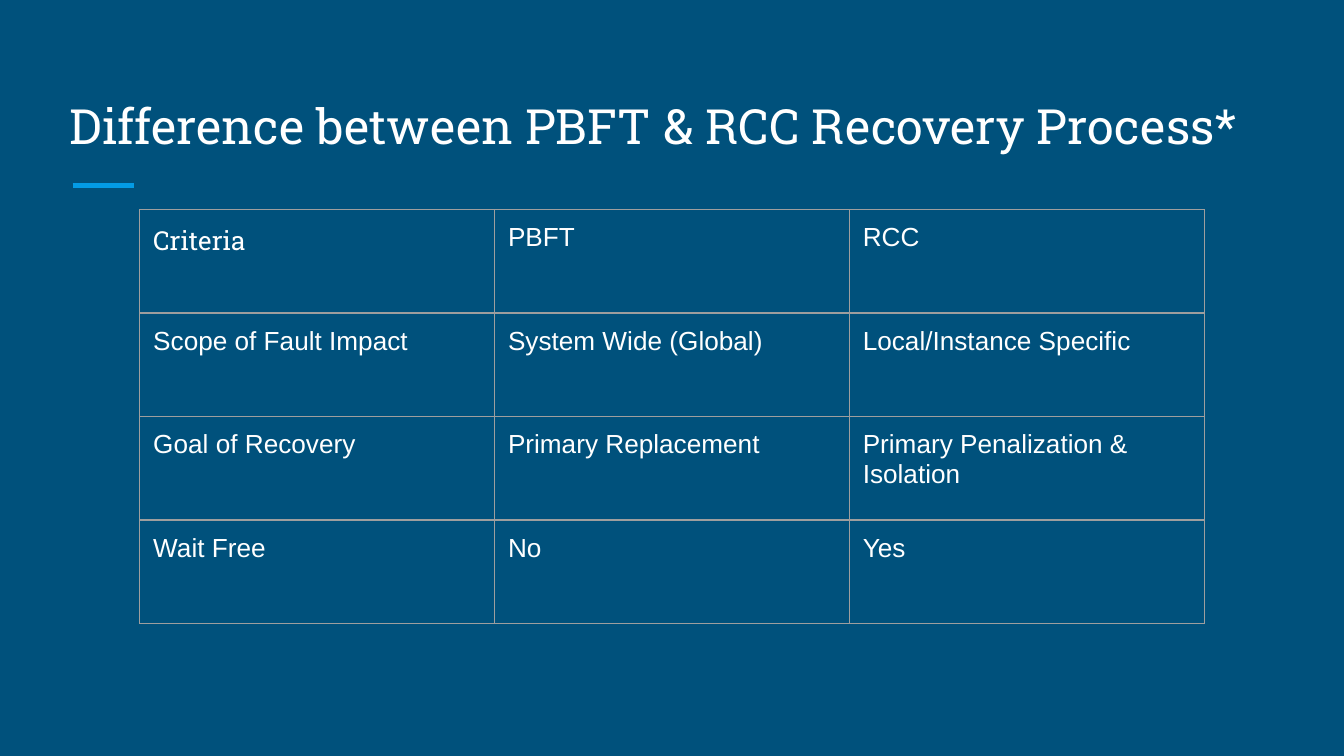
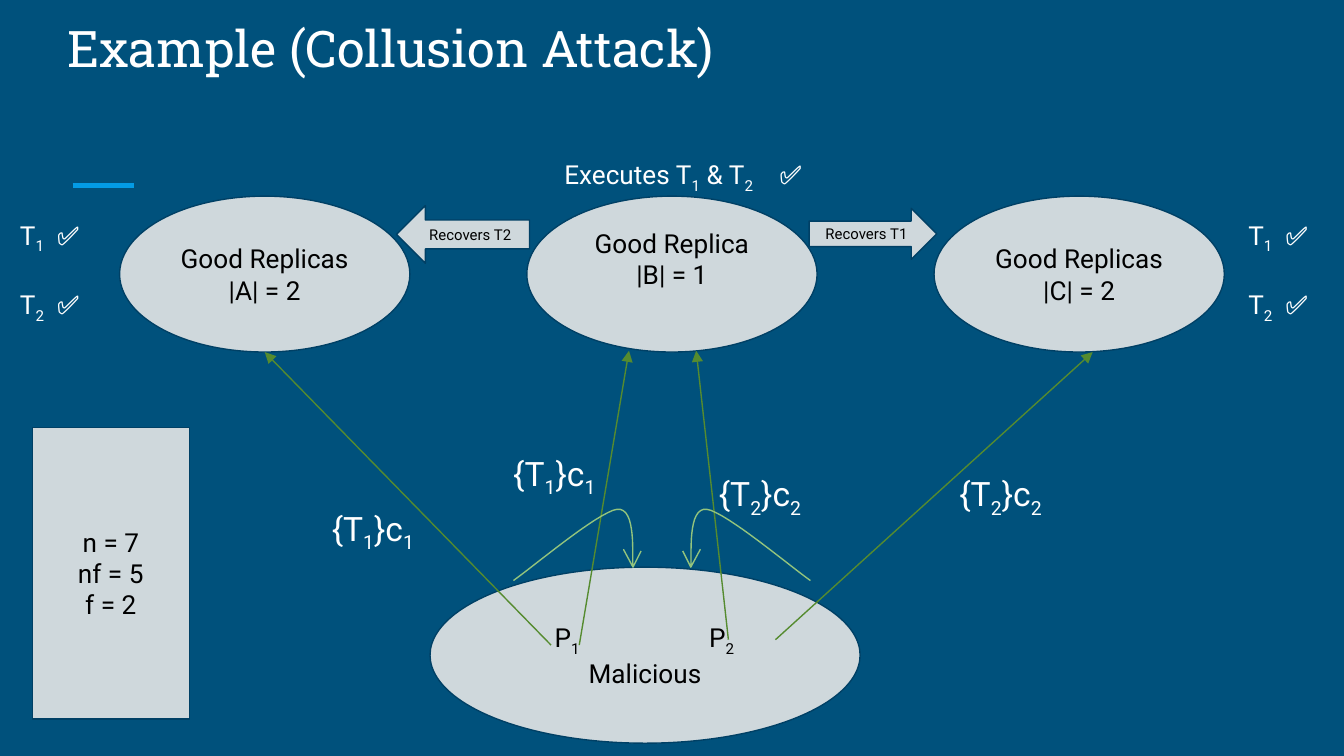
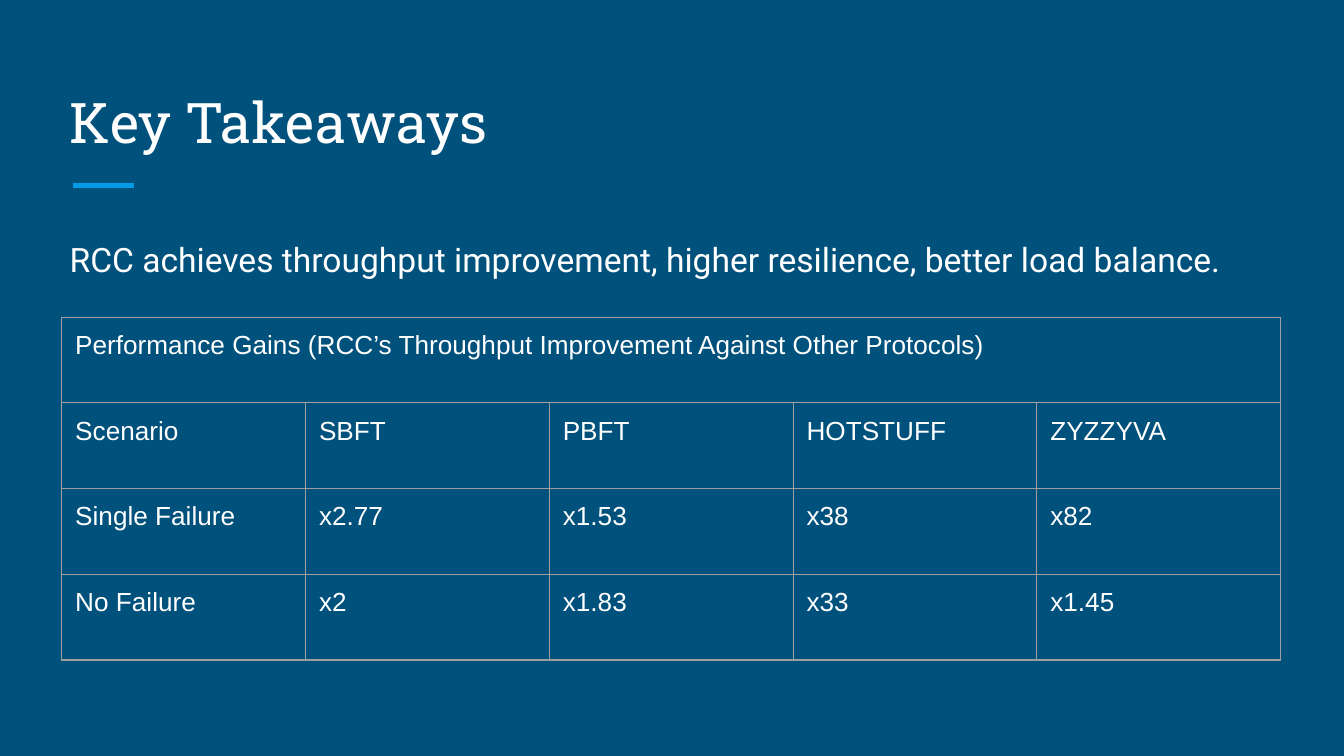
from dataclasses import dataclass

from lxml import etree
from pptx import Presentation
from pptx import util as u
from pptx.dml import color
from pptx.enum import shapes, text
from pptx.oxml import ns

COLUMNS = 100
UNIT = u.Inches(10) // COLUMNS
TICK = "✅"


@dataclass(frozen=True)
class Theme:
    background: str = "00517C"
    accent: str = "039BE5"
    light: str = "FFFFFF"
    dark: str = "000000"
    panel: str = "CFD8DC"
    outline: str = "004065"
    message: str = "558B2F"
    collusion: str = "93C47D"
    border: str = "9E9E9E"
    heading: str = "Roboto Slab"
    body: str = "Roboto"
    cell: str = "Arial"
    lead: int = 18
    normal: int = 14
    small: int = 8
    hairline: float = 0.75
    rule: int = 3


THEME = Theme()


def grid(*values):
    return [round(v * UNIT) for v in values]


def rgb(value):
    return color.RGBColor.from_string(value)


def sub(parent, tag, **attrs):
    return etree.SubElement(parent, ns.qn(tag), attrs)


def style_line(line, colour, width=THEME.hairline):
    line.color.rgb = rgb(colour)
    line.width = u.Pt(width)


def add_run(p, words, size, font, colour, subscript=False):
    r = p.add_run()
    r.text = words
    r.font.size = u.Pt(size)
    r.font.name = font
    r.font.color.rgb = rgb(colour)
    if subscript:
        r._r.get_or_add_rPr().set("baseline", "-25000")


def write(tf, lines, size=THEME.normal, font=THEME.body, colour=THEME.light,
          align=text.PP_ALIGN.LEFT, anchor=text.MSO_ANCHOR.TOP,
          tabs=(), gap=0, spacing=1, bottom=1):
    tf.word_wrap = True
    tf.auto_size = text.MSO_AUTO_SIZE.NONE
    tf.vertical_anchor = anchor
    tf.margin_left, tf.margin_top, tf.margin_right, tf.margin_bottom = grid(1, 1, 1, bottom)
    for i, line in enumerate(lines):
        p = tf.add_paragraph() if i else tf.paragraphs[0]
        p.alignment = text.PP_ALIGN.LEFT if "\t" in line else align
        p.line_spacing = spacing
        p.space_before = u.Pt(gap if i else 0)
        if "\t" in line:
            stops = sub(p._p.get_or_add_pPr(), "a:tabLst")
            for stop in grid(*tabs):
                sub(stops, "a:tab", pos=str(stop), algn="l")
        start, *rest = line.split("_")
        add_run(p, start, size, font, colour)
        for part in rest:
            add_run(p, part[0], size, font, colour, subscript=True)
            if part[1:]:
                add_run(p, part[1:], size, font, colour)


def add_line(s, x1, y1, x2, y2, colour, width=THEME.hairline, arrow=False):
    c = s.shapes.add_connector(shapes.MSO_CONNECTOR.STRAIGHT, *grid(x1, y1, x2, y2))
    style_line(c.line, colour, width)
    if arrow:
        sub(c.line._get_or_add_ln(), "a:tailEnd", type="triangle")
    sub(c._element.spPr, "a:effectLst")


def add_text(s, box, lines, **style):
    write(s.shapes.add_textbox(*grid(*box)).text_frame, lines, **style)


def add_panel(s, kind, box, lines, **style):
    sp = s.shapes.add_shape(kind, *grid(*box))
    sp.shadow.inherit = False
    sp.fill.solid()
    sp.fill.fore_color.rgb = rgb(THEME.panel)
    style_line(sp.line, THEME.outline)
    write(sp.text_frame, lines, colour=THEME.dark, align=text.PP_ALIGN.CENTER,
          anchor=text.MSO_ANCHOR.MIDDLE, **style)


def bezier(a, b, c, d, steps=16):
    for i in range(1, steps + 1):
        t = i / steps
        yield tuple((1 - t) ** 3 * p + 3 * (1 - t) ** 2 * t * q
                    + 3 * (1 - t) * t ** 2 * r + t ** 3 * v
                    for p, q, r, v in zip(a, b, c, d))


def add_hook(s, place):
    start, crest, tip = (38.2, 43.2), (45.9, 37.9), (47.1, 42.2)
    points = [start, *bezier(start, (39.5, 42.3), (44.5, 38.1), crest),
              *bezier(crest, (47.4, 37.7), (47, 41.5), tip),
              (46.4, 40.9), tip, (47.7, 41)]
    first, *rest = [grid(place(x), y) for x, y in points]
    builder = s.shapes.build_freeform(*first, scale=1.0)
    builder.add_line_segments(rest, close=False)
    sp = builder.convert_to_shape()
    sp.shadow.inherit = False
    sp.fill.background()
    style_line(sp.line, THEME.collusion)


def add_borders(cell):
    tcPr = cell._tc.get_or_add_tcPr()
    for i, side in enumerate(("a:lnL", "a:lnR", "a:lnT", "a:lnB")):
        ln = etree.Element(ns.qn(side), w=str(u.Pt(THEME.hairline)))
        sub(sub(ln, "a:solidFill"), "a:srgbClr", val=THEME.border)
        tcPr.insert(i, ln)


def add_grid_table(s, left, top, column, row, rows, corner_font=THEME.cell):
    count = max(map(len, rows))
    box = grid(left, top, column * count, row * len(rows))
    table = s.shapes.add_table(len(rows), count, *box).table
    table.first_row = table.horz_banding = False
    for col in table.columns:
        col.width = grid(column)[0]
    for i, values in enumerate(rows):
        table.rows[i].height = grid(row)[0]
        for j in range(count):
            cell = table.cell(i, j)
            cell.fill.background()
            add_borders(cell)
            cell.margin_left, cell.margin_top, cell.margin_right, cell.margin_bottom = grid(1, 1, 1, 1)
            if j < len(values):
                font = THEME.cell if i or j else corner_font
                add_run(cell.text_frame.paragraphs[0], values[j], THEME.normal, font, THEME.light)
        if len(values) == 1:
            table.cell(i, 0).merge(table.cell(i, count - 1))


def new_slide(prs, title, size, box=(4.2, 5, 91.5, 7.5)):
    s = prs.slides.add_slide(prs.slide_layouts[5])
    add_line(s, 5.4, 13.8, 10, 13.8, THEME.accent, THEME.rule)
    sp = s.shapes.title
    sp.left, sp.top, sp.width, sp.height = grid(*box)
    write(sp.text_frame, [title], size=size, font=THEME.heading, anchor=text.MSO_ANCHOR.BOTTOM)
    return s


def recovery_slide(prs):
    s = new_slide(prs, "Difference between PBFT & RCC Recovery Process*", 26)
    add_grid_table(s, 10.4, 15.6, 26.4, 7.7, [
        ["Criteria", "PBFT", "RCC"],
        ["Scope of Fault Impact", "System Wide (Global)", "Local/Instance Specific"],
        ["Goal of Recovery", "Primary Replacement", "Primary Penalization & Isolation"],
        ["Wait Free", "No", "Yes"],
    ], corner_font=THEME.heading)


def collusion_slide(prs):
    s = new_slide(prs, "Example (Collusion Attack)", 27, (4, 0.6, 56.3, 6.2))
    kind = shapes.MSO_SHAPE
    replicas = [("Good Replicas", "|A| = 2", 1), ("Good Replica", "|B| = 1", 3.3),
                ("Good Replicas", "|C| = 2", 1)]
    for i, (name, count, bottom) in enumerate(replicas):
        add_panel(s, kind.OVAL, (8.9 + 30.3 * i, 14.6, 21.6, 11.6), [name, count], bottom=bottom)
    add_panel(s, kind.OVAL, (32, 42.2, 32, 13.1), ["\tP_1\tP_2", "Malicious"], tabs=(3.6, 15.1))

    messages = [(1, (41, 48, 19.7, 26.2), (23.7, 36.8)),
                (2, (54.2, 47.6, 51.8, 26.1), (52.5, 34.2)),
                (1, (43.1, 48, 46.8, 26.1), (37.2, 32.7)),
                (2, (57.7, 47.6, 81.3, 26.2), (70.4, 34.2))]
    for n, ends, corner in messages:
        add_line(s, *ends, THEME.message, arrow=True)
        add_text(s, (*corner, 9.9, 5.3), [f"{{T_{n}}}c_{n}"], size=THEME.lead)

    add_panel(s, kind.RECTANGLE, (2.4, 31.8, 11.7, 21.7), ["n = 7", "nf = 5", "f = 2"])
    add_text(s, (41, 10.8, 20.8, 3.8), [f"Executes T_1 & T_2\t{TICK}"], tabs=(16,))
    for left in (0.5, 91.9):
        add_text(s, (left, 15.3, 8.4, 10.9), [f"T_{n}\t{TICK}" for n in (1, 2)],
                 tabs=(2.75,), gap=18)
    for place in (lambda x: x, lambda x: 98.5 - x):
        add_hook(s, place)
    add_panel(s, kind.LEFT_ARROW, (29.5, 15.3, 9.9, 4.3), ["Recovers T2"], size=THEME.small)
    add_panel(s, kind.RIGHT_ARROW, (60.2, 15.5, 9.5, 3.8), ["Recovers T1"], size=THEME.small)


def takeaways_slide(prs):
    s = new_slide(prs, "Key Takeaways", 30)
    add_text(s, (4.2, 16.3, 91.5, 33.7),
             ["RCC achieves throughput improvement, higher resilience, better load balance."],
             size=THEME.lead, spacing=1.15)
    add_grid_table(s, 4.6, 23.6, 18.14, 6.38, [
        ["Performance Gains (RCC’s Throughput Improvement Against Other Protocols)"],
        ["Scenario", "SBFT", "PBFT", "HOTSTUFF", "ZYZZYVA"],
        ["Single Failure", "x2.77", "x1.53", "x38", "x82"],
        ["No Failure", "x2", "x1.83", "x33", "x1.45"],
    ])


def main():
    prs = Presentation()
    prs.slide_width, prs.slide_height = grid(COLUMNS, COLUMNS * 9 / 16)
    fill = prs.slide_master.background.fill
    fill.solid()
    fill.fore_color.rgb = rgb(THEME.background)
    recovery_slide(prs)
    collusion_slide(prs)
    takeaways_slide(prs)
    prs.save("out.pptx")


if __name__ == "__main__":
    main()
